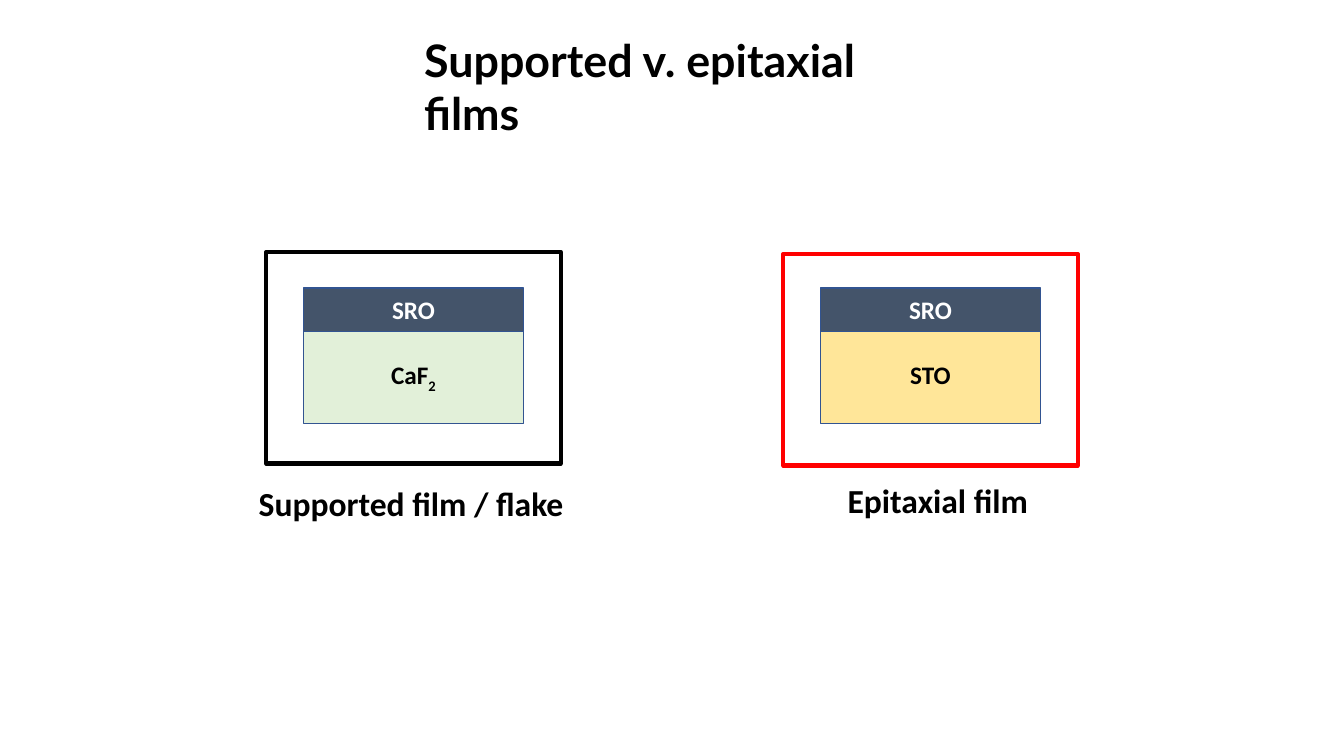
from pptx import Presentation
from pptx.dml.color import RGBColor
from pptx.enum.shapes import MSO_SHAPE
from pptx.enum.text import MSO_AUTO_SIZE, PP_ALIGN
from pptx.util import Cm, Pt

RECTANGLE = MSO_SHAPE.RECTANGLE
LEFT, CENTER = PP_ALIGN.LEFT, PP_ALIGN.CENTER
FIT_SHAPE = MSO_AUTO_SIZE.SHAPE_TO_FIT_TEXT

BLACK, WHITE, RED = "000000", "FFFFFF", "FF0000"
SLATE, EDGE = "44546A", "325491"
GREEN, YELLOW = "E2F0D9", "FFE699"

# Layer stack, in centimetres
STACK_WIDTH = 5.54
FILM_TOP, FILM_HEIGHT = 7.26, 1.1
SUBSTRATE_TOP, SUBSTRATE_HEIGHT = FILM_TOP + FILM_HEIGHT, 2.31
LABEL_HEIGHT = 1.02
FRAME_MARGIN, FRAME_WIDTH, FRAME_HEIGHT = 0.94, 7.42, 5.33


def color(value):
    return RGBColor.from_string(value)


def write(paragraph, text, size=18, font="Calibri", fill=BLACK, subscript=False):
    run = paragraph.add_run()
    run.text = text
    run.font.size = Pt(size)
    run.font.name = font
    run.font.bold = True
    run.font.color.rgb = color(fill)
    if subscript:
        run._r.get_or_add_rPr().set("baseline", "-25000")


class FilmSlide:
    def __init__(self, presentation):
        layout = presentation.slide_layouts[6]
        self.slide = presentation.slides.add_slide(layout)

    def rectangle(self, left, top, width, height, fill=None, line=EDGE, weight=1):
        shape = self.slide.shapes.add_shape(
            RECTANGLE, Cm(left), Cm(top), Cm(width), Cm(height))
        shape.shadow.inherit = False
        if fill:
            shape.fill.solid()
            shape.fill.fore_color.rgb = color(fill)
        else:
            shape.fill.background()
        shape.line.color.rgb = color(line)
        shape.line.width = Pt(weight)

    def text(self, left, top, width, height, text, subscript="",
             align=LEFT, wrap=True, **style):
        box = self.slide.shapes.add_textbox(
            Cm(left), Cm(top), Cm(width), Cm(height))
        frame = box.text_frame
        frame.word_wrap = wrap
        frame.auto_size = FIT_SHAPE
        paragraph = frame.paragraphs[0]
        paragraph.alignment = align
        write(paragraph, text, **style)
        if subscript:
            write(paragraph, subscript, subscript=True, **style)

    def sample(self, left, frame_top, substrate, subscript, fill, frame_color):
        # Film on its substrate
        self.rectangle(left, FILM_TOP, STACK_WIDTH, FILM_HEIGHT, SLATE)
        self.rectangle(left, SUBSTRATE_TOP, STACK_WIDTH, SUBSTRATE_HEIGHT, fill)
        # Layer names
        self.text(left, 7.3, STACK_WIDTH, LABEL_HEIGHT, "SRO",
                  align=CENTER, fill=WHITE)
        self.text(left, 8.94, STACK_WIDTH, LABEL_HEIGHT, substrate, subscript,
                  align=CENTER)
        # Frame around the stack
        self.rectangle(left - FRAME_MARGIN, frame_top, FRAME_WIDTH, FRAME_HEIGHT,
                       line=frame_color, weight=3)


def main():
    presentation = Presentation()
    presentation.slide_width = Cm(33.87)
    presentation.slide_height = Cm(19.05)
    film_slide = FilmSlide(presentation)

    # Two samples
    film_slide.sample(7.65, 6.35, "CaF", "2", GREEN, BLACK)
    film_slide.sample(20.68, 6.4, "STO", "", YELLOW, RED)

    # Captions
    film_slide.text(6.27, 12.04, 8.28, 1.27, "Supported film / flake",
                    wrap=False, size=24)
    film_slide.text(21.11, 11.96, 5.11, 1.27, "Epitaxial film", size=24)

    # Title
    film_slide.text(10.44, 0.69, 13, 1.63, "Supported v. epitaxial films",
                    size=32, font="Lato")

    presentation.save("out.pptx")


if __name__ == "__main__":
    main()
